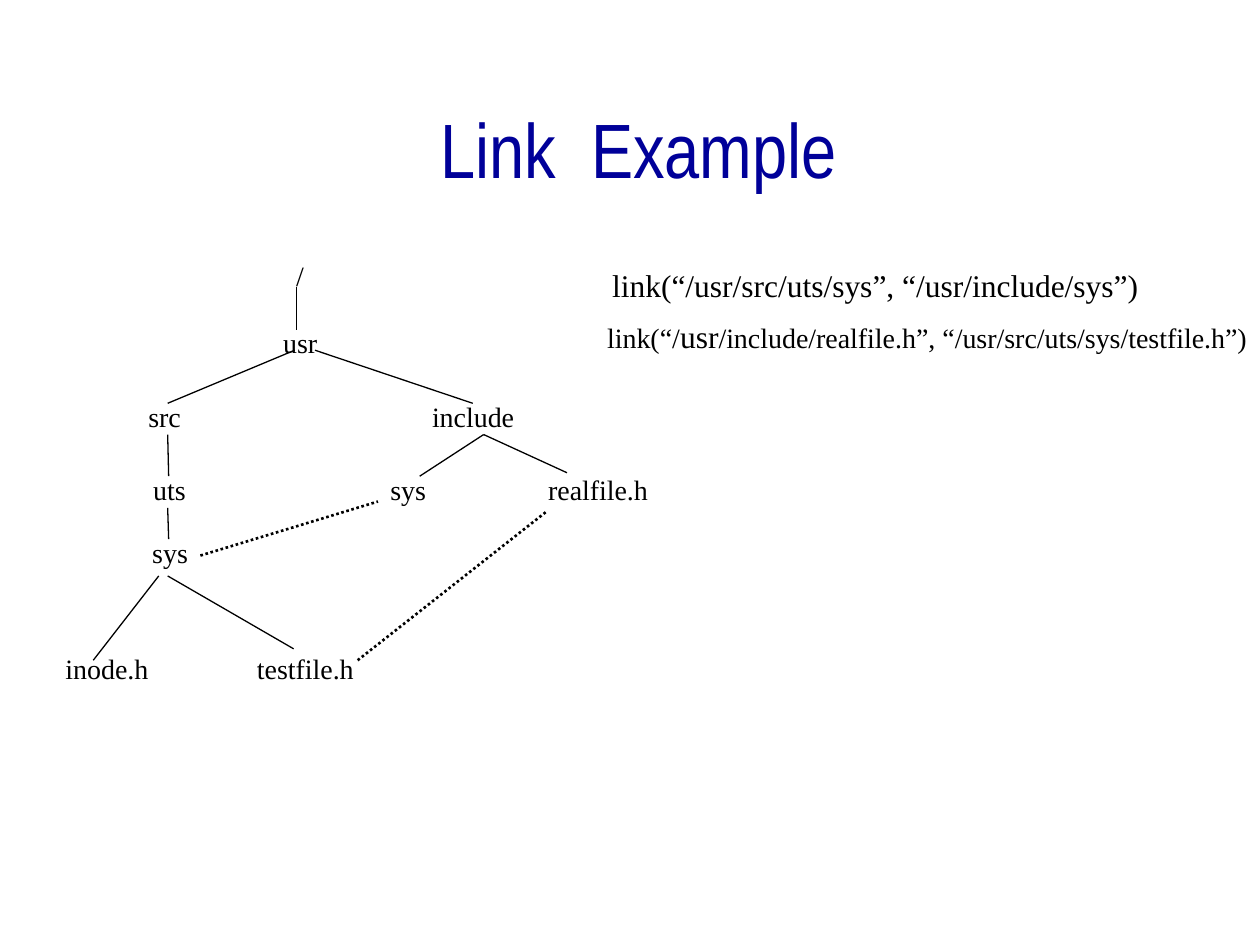
from pptx import Presentation
from pptx.dml.color import RGBColor
from pptx.enum.dml import MSO_LINE
from pptx.enum.shapes import MSO_CONNECTOR
from pptx.enum.text import MSO_ANCHOR, MSO_AUTO_SIZE, PP_ALIGN
from pptx.oxml.ns import qn
from pptx.util import Cm, Pt
from lxml import etree

STRAIGHT = MSO_CONNECTOR.STRAIGHT
DOTTED = MSO_LINE.ROUND_DOT
MIDDLE, TOP = MSO_ANCHOR.MIDDLE, MSO_ANCHOR.TOP
CENTER, LEFT = PP_ALIGN.CENTER, PP_ALIGN.LEFT
FIT_SHAPE = MSO_AUTO_SIZE.SHAPE_TO_FIT_TEXT


def color(value):
    return RGBColor.from_string(value)


class LinkPage:
    TITLE_FONT, BODY_FONT = "Arial Narrow", "Times New Roman"
    TITLE_COLOR, INK = "000099", "000000"
    TITLE_SIZE, CALL_SIZE, NODE_SIZE = 44, 18, 16
    NODE_HEIGHT, CALL_HEIGHT = 0.94, 1.02

    def __init__(self, deck):
        self.page = deck.slides.add_slide(deck.slide_layouts[6])

    def text_box(self, left, top, width, height, font, ink, size=None):
        box = self.page.shapes.add_textbox(Cm(left), Cm(top), Cm(width), Cm(height))
        frame = box.text_frame
        frame.word_wrap = False
        frame.auto_size = FIT_SHAPE
        frame.vertical_anchor = TOP
        para = frame.paragraphs[0]
        para.alignment = LEFT
        para.font.name = font
        para.font.color.rgb = color(ink)
        if size:
            para.font.size = Pt(size)
        return frame, para

    def title(self, words, left, top, width, height, gap):
        """Centred title whose words stand further apart by gap points."""
        frame, para = self.text_box(left, top, width, height, self.TITLE_FONT,
                                    self.TITLE_COLOR, self.TITLE_SIZE)
        frame.word_wrap = True
        frame.vertical_anchor = MIDDLE
        para.alignment = CENTER
        for index, word in enumerate(words):
            if index:
                space = para.add_run()
                space.text = " "
                space.font._element.set("spc", str(gap * 100))
            para.add_run().text = word

    def call(self, spans, left, top, width):
        """One system call, given as (text, size) spans."""
        _, para = self.text_box(left, top, width, self.CALL_HEIGHT,
                                self.BODY_FONT, self.INK)
        for text, size in spans:
            span = para.add_run()
            span.text = text
            span.font.size = Pt(size)

    def node(self, name, left, top, width):
        _, para = self.text_box(left, top, width, self.NODE_HEIGHT,
                                self.BODY_FONT, self.INK, self.NODE_SIZE)
        para.add_run().text = name

    def edge(self, x1, y1, x2, y2, weight=0.75, dash=None):
        line = self.page.shapes.add_connector(STRAIGHT, Cm(x1), Cm(y1), Cm(x2), Cm(y2))
        line.line.color.rgb = color(self.INK)
        line.line.width = Pt(weight)
        if dash:
            line.line.dash_style = dash
        etree.SubElement(line._element.spPr, qn("a:effectLst"))

    def link(self, *ends):
        self.edge(*ends, weight=1.5, dash=DOTTED)


def main():
    deck = Presentation()
    deck.slide_width, deck.slide_height = Cm(25.4), Cm(19.05)
    page = LinkPage(deck)

    # Title and system calls
    page.title(["Link", "Example"], 2.08, 1.7, 21.59, 2.54, gap=10)
    large, small = page.CALL_SIZE, page.NODE_SIZE
    page.call([("link(“/usr/src/uts/sys”, “/usr/include/sys”)", large)],
              12.09, 5.23, 11.13)
    page.call([("link(“/", small), ("usr", large),
               ("/include/realfile.h”, “/usr/src/uts/sys/testfile.h”)", small)],
              11.99, 6.27, 13.41)

    # Directory tree: each level's top, then name, left and width
    levels = [
        (5.08, [("/", 5.72, 0.66)]),
        (6.43, [("usr", 5.46, 1.22)]),
        (7.92, [("src", 2.74, 1.2), ("include", 8.46, 2.2)]),
        (9.4, [("uts", 2.84, 1.2), ("sys", 7.62, 1.25), ("realfile.h", 10.8, 2.6)]),
        (10.67, [("sys", 2.82, 1.25)]),
        (13, [("inode.h", 1.07, 2.22), ("testfile.h", 4.93, 2.52)]),
    ]
    for top, nodes in levels:
        for name, left, width in nodes:
            page.node(name, left, top, width)

    # Parent to child edges
    for ends in [
        (5.97, 5.79, 5.97, 6.65),    # / to usr
        (5.94, 7.06, 3.38, 8.13),    # usr to src
        (6.35, 7.06, 9.53, 8.13),    # usr to include
        (3.38, 8.76, 3.4, 9.6),      # src to uts
        (3.38, 10.24, 3.4, 10.87),   # uts to sys
        (3.2, 11.61, 1.88, 13.31),   # sys to inode.h
        (3.38, 11.61, 5.92, 13.08),  # sys to testfile.h
        (9.75, 8.76, 8.46, 9.6),     # include to sys
        (9.75, 8.76, 11.43, 9.53),   # include to realfile.h
    ]:
        page.edge(*ends)

    # Links made by the calls
    page.link(4.04, 11.2, 7.62, 10.11)
    page.link(7.21, 13.31, 11.02, 10.31)

    deck.save("out.pptx")


if __name__ == "__main__":
    main()
